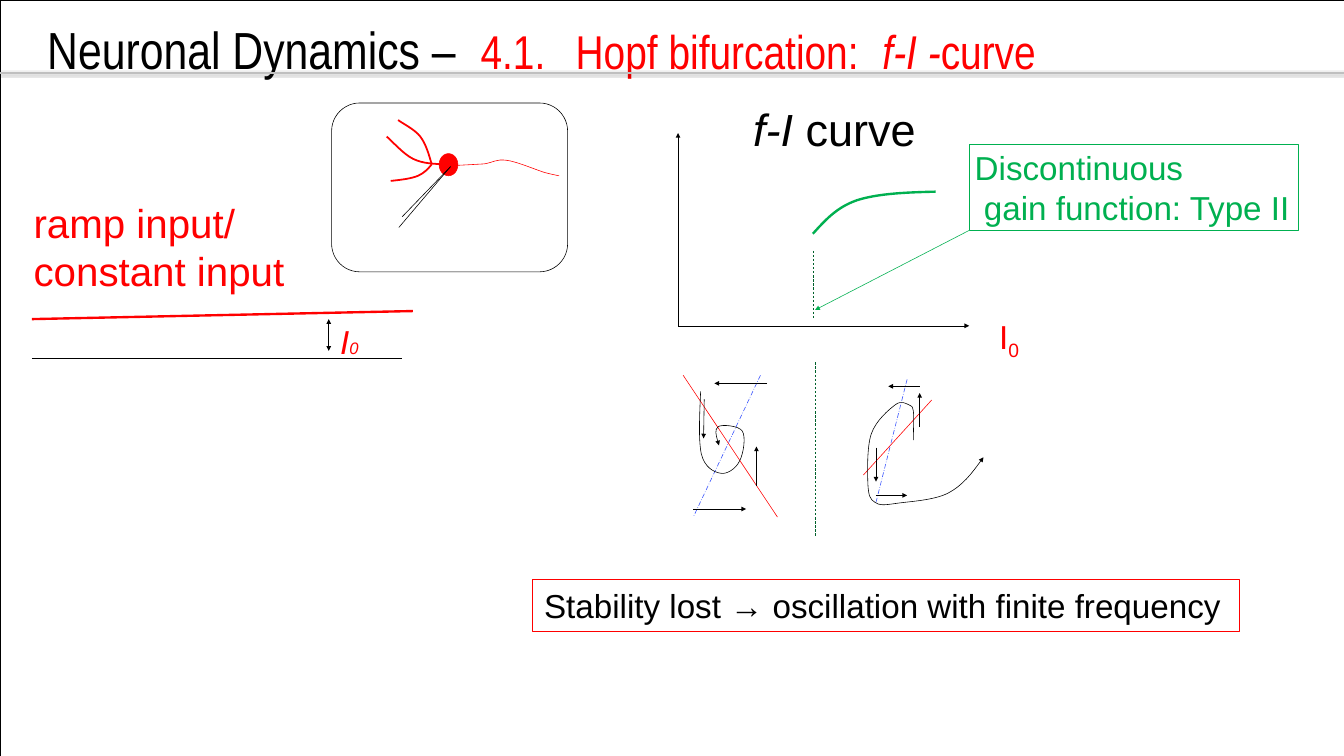
import pptx
import pptx.dml.color
import pptx.enum.dml
import pptx.enum.shapes
import pptx.enum.text
import pptx.oxml
import pptx.oxml.ns
import pptx.util

Cm, Pt = pptx.util.Cm, pptx.util.Pt
SHAPE = pptx.enum.shapes.MSO_SHAPE
DASH = pptx.enum.dml.MSO_LINE.DASH
LONG_DASH_DOT = pptx.enum.dml.MSO_LINE.LONG_DASH_DOT
qn = pptx.oxml.ns.qn

WIDTH, HEIGHT = 60.02, 33.76
BLACK, RED, GREEN = "000000", "FF0000", "00B050"
DARK_GREEN, BLUE, GREY = "00602B", "3550FE", "BFBFBF"
THIN, DENDRITE, THICK = 0.75, 2.25, 3
WIDE_INSETS = (0.53, 0.28)


def rgb(color):
    return pptx.dml.color.RGBColor.from_string(color)


def add_xml(parent, tag, **attributes):
    return pptx.oxml.ns and parent.makeelement(qn(tag), attributes)


def child(parent, tag, **attributes):
    element = parent.makeelement(qn(tag), attributes)
    parent.append(element)
    return element


def style_line(sp, color, width, dash=None, heads=()):
    sp.line.color.rgb = rgb(color)
    sp.line.width = Pt(width)
    if dash:
        sp.line.dash_style = dash
    for end in heads:
        child(sp.line._get_or_add_ln(), f"a:{end}", type="triangle")


def line(s, x1, y1, x2, y2, color=BLACK, width=THIN, dash=None, heads=()):
    sp = s.shapes.add_connector(pptx.enum.shapes.MSO_CONNECTOR.STRAIGHT,
                                Cm(x1), Cm(y1), Cm(x2), Cm(y2))
    style_line(sp, color, width, dash, heads)
    return child(sp._element.spPr, "a:effectLst")


def arrow(s, x1, y1, x2, y2, color=BLACK):
    line(s, x1, y1, x2, y2, color, heads=["tailEnd"])


def curve(s, points, color=BLACK, width=THIN, heads=()):
    """Draw a start point followed by triples of cubic Bezier points."""
    start, *rest = [(Cm(x), Cm(y)) for x, y in points]
    builder = s.shapes.build_freeform(*start)
    builder.add_line_segments(rest, close=False)
    sp = builder.convert_to_shape()
    outline = sp._element.spPr.find(".//" + qn("a:path"))
    segments = outline.findall(qn("a:lnTo"))
    for i in range(0, len(segments), 3):
        bezier = child(outline, "a:cubicBezTo")
        for segment in segments[i:i + 3]:
            bezier.append(segment[0])
            outline.remove(segment)
    sp.fill.background()
    sp.shadow.inherit = False
    style_line(sp, color, width, heads=heads)


def shape(s, kind, x, y, w, h, color, fill=None):
    sp = s.shapes.add_shape(kind, Cm(x), Cm(y), Cm(w), Cm(h))
    sp.shadow.inherit = False
    if fill:
        sp.fill.solid()
        sp.fill.fore_color.rgb = rgb(fill)
    else:
        sp.fill.background()
    style_line(sp, color, THIN)


def set_frame(tf, wrap, insets):
    tf.word_wrap = wrap
    tf.auto_size = pptx.enum.text.MSO_AUTO_SIZE.NONE
    tf.vertical_anchor = pptx.enum.text.MSO_ANCHOR.TOP
    tf.margin_left = tf.margin_right = Cm(insets[0])
    tf.margin_top = tf.margin_bottom = Cm(insets[1])


def set_font(font, name, size, color):
    font.name, font.size, font.color.rgb = name, Pt(size), rgb(color)


def text(s, x, y, w, h, paragraphs, size, color, wrap=False,
         insets=(0.25, 0.13), border=None):
    sp = s.shapes.add_textbox(Cm(x), Cm(y), Cm(w), Cm(h))
    if border:
        style_line(sp, border, THIN)
    tf = sp.text_frame
    set_frame(tf, wrap, insets)
    for i, content in enumerate(paragraphs):
        p = tf.add_paragraph() if i else tf.paragraphs[0]
        p.text = content
        set_font(p.font, "Arial", size, color)
    return tf.paragraphs


def add_run(p, content, italic=None, size=None, color=None):
    r = p.add_run()
    r.text = content
    r.font.italic = italic
    if size:
        r.font.size = Pt(size)
    if color:
        r.font.color.rgb = rgb(color)
    return r


def title(s):
    sp = s.shapes.title
    sp.left, sp.top, sp.width, sp.height = Cm(1.93), Cm(0.51), Cm(57.94), Cm(4.09)
    set_frame(sp.text_frame, True, (0.18, 0.28))
    p = sp.text_frame.paragraphs[0]
    p.alignment = pptx.enum.text.PP_ALIGN.LEFT
    tabs = child(p._p.get_or_add_pPr(), "a:tabLst")
    for stop in (19.35, 23.6, 37.3):
        child(tabs, "a:tab", pos=str(Cm(stop)), algn="l")
    set_font(p.font, "Arial Narrow", 60, RED)
    add_run(p, "Neuronal Dynamics –\t", size=66, color=BLACK)
    add_run(p, "4.1.\tHopf bifurcation:\t")
    add_run(p, "f-I -", italic=True)
    add_run(p, "curve")

    # Rule under the title, with a soft shadow
    effects = line(s, 0, 3.25, WIDTH, 3.25, GREY, 2)
    shadow = child(effects, "a:outerShdw", blurRad=str(Pt(3.1)),
                   dist=str(Pt(1.6)), dir="5400000", rotWithShape="0")
    child(child(shadow, "a:srgbClr", val=BLACK), "a:alpha", val="38000")


def gain_function(s):
    arrow(s, 30.28, 14.55, 43.28, 14.55)
    arrow(s, 30.28, 14.55, 30.28, 5.94)
    curve(s, [(36.3, 10.44), (36.83, 9.86), (37.36, 9.25), (38.28, 8.94),
              (39.22, 8.64), (40.49, 8.59), (41.78, 8.56)], GREEN, THICK)
    line(s, 36.3, 11.2, 36.3, 14.2, DARK_GREEN, dash=DASH)
    p = text(s, 33.38, 4.39, 7.85, 2.69, [""], 57, BLACK)[0]
    add_run(p, "f-I", italic=True)
    add_run(p, " curve")
    p = text(s, 44.09, 13.84, 2.06, 2.34, ["I"], 42, RED, insets=WIDE_INSETS)[0]
    add_run(p, "0").font._element.set("baseline", "-25000")
    lines = text(s, 43.28, 6.45, 14.71, 3.84,
                 ["Discontinuous", "gain function: Type II"], 42, GREEN,
                 border=GREEN)
    lines[1]._p.get_or_add_pPr().set("marL", str(Cm(0.41)))
    arrow(s, 43.28, 10.29, 36.4, 13.84, GREEN)


def ramp_input(s):
    text(s, 0.97, 8.56, 12.4, 4.9, ["ramp input/", "constant input"], 51, RED,
         wrap=True, insets=WIDE_INSETS)
    line(s, 1.42, 16, 17.96, 16)
    line(s, 1.42, 14.25, 18.44, 13.89, RED, THICK)
    p = text(s, 14.66, 14.05, 1.9, 2.34, [""], 42, RED, insets=WIDE_INSETS)[0]
    add_run(p, "I", italic=True)
    add_run(p, "0", italic=True, size=21)
    line(s, 14.68, 14.25, 14.68, 15.67, heads=["headEnd", "tailEnd"])


def neuron(s):
    shape(s, SHAPE.OVAL, 19.61, 6.86, 0.84, 0.99, RED, RED)
    axon = [(20.29, 7.39), (20.75, 7.37), (21.23, 7.34), (21.62, 7.32),
            (22.02, 7.26), (22.17, 7.09), (22.63, 7.16), (23.06, 7.21),
            (23.9, 7.57), (24.31, 7.7), (24.69, 7.8), (24.82, 7.82), (24.97, 7.85)]
    curve(s, axon, RED)
    dendrites = [
        [(19.94, 7.34), (19.43, 7.32), (18.9, 7.32), (18.44, 7.09),
         (18.01, 6.88), (17.48, 6.27), (17.27, 6.1)],
        [(19.28, 7.34), (19.13, 7.52), (18.97, 7.72), (18.67, 7.85),
         (18.36, 7.98), (17.91, 8.03), (17.45, 8.08)],
        [(19.28, 7.34), (19.15, 6.88), (19.02, 6.43), (18.77, 6.1),
         (18.52, 5.77), (17.93, 5.49), (17.78, 5.36)]]
    for dendrite in dendrites:
        curve(s, dendrite, RED, DENDRITE)
    for x, y in [(17.81, 10.16), (17.96, 9.68)]:
        line(s, x, y, 20.12, 7.44)
    shape(s, SHAPE.ROUNDED_RECTANGLE, 14.81, 4.6, 10.54, 7.54, BLACK)


def phase_plane(s, blue_nullcline, red_nullcline, flow, trajectory):
    line(s, *blue_nullcline, BLUE, dash=LONG_DASH_DOT)
    line(s, *red_nullcline, RED)
    for ends in flow:
        arrow(s, *ends)
    curve(s, trajectory, heads=["tailEnd"])


def phase_planes(s):
    line(s, 36.4, 16.18, 36.4, 23.98, DARK_GREEN, dash=DASH)
    # Stable fixed point
    phase_plane(
        s, (33.96, 16.76, 30.96, 23.09), (30.51, 16.76, 34.72, 23.09),
        [(31.45, 17.83, 31.42, 19.58), (33.78, 21.69, 33.78, 19.94),
         (34.26, 17.12, 31.9, 17.12), (30.96, 22.73, 33.32, 22.73)],
        [(31.29, 17.48), (31.24, 18.57), (31.19, 19.66), (31.32, 20.27),
         (31.47, 20.88), (31.88, 21.08), (32.16, 21.13), (32.44, 21.21),
         (32.87, 20.93), (33.02, 20.6), (33.2, 20.29), (33.32, 19.51),
         (33.15, 19.25), (32.99, 19), (32.23, 18.95), (32.08, 19.05),
         (31.9, 19.18), (32, 19.53), (32.11, 19.89)])
    # Unstable fixed point
    phase_plane(
        s, (40.51, 16.94, 39.12, 22.43), (41.61, 17.86, 38.56, 21.21),
        [(39.12, 19.99, 39.12, 21.51), (41.07, 19.08, 41.07, 17.55),
         (41.07, 17.25, 39.67, 17.25), (39.12, 22.12, 40.51, 22.12)],
        [(40.79, 19.66), (40.79, 19.15), (40.82, 18.64), (40.79, 18.36),
         (40.74, 18.11), (40.72, 18.14), (40.59, 18.08), (40.46, 18.03),
         (40.26, 17.86), (39.98, 18.08), (39.7, 18.29), (39.12, 18.77),
         (38.91, 19.38), (38.71, 19.96), (38.74, 21.13), (38.76, 21.64),
         (38.79, 22.15), (38.86, 22.3), (39.07, 22.43), (39.27, 22.58),
         (39.47, 22.56), (40.03, 22.48), (40.56, 22.4), (41.71, 22.35),
         (42.34, 22.02), (43, 21.67), (43.46, 21.06), (43.92, 20.42)])


def main():
    prs = pptx.Presentation()
    prs.slide_width, prs.slide_height = Cm(WIDTH), Cm(HEIGHT)
    s = prs.slides.add_slide(prs.slide_layouts[5])
    shape(s, SHAPE.RECTANGLE, 0, 0, WIDTH, HEIGHT, BLACK)
    title(s)
    gain_function(s)
    ramp_input(s)
    neuron(s)
    phase_planes(s)
    # Conclusion
    text(s, 23.77, 25.86, 31.57, 2.34,
         ["Stability lost → oscillation with finite frequency"], 42, BLACK,
         insets=WIDE_INSETS, border=RED)
    prs.save("out.pptx")


if __name__ == "__main__":
    main()
